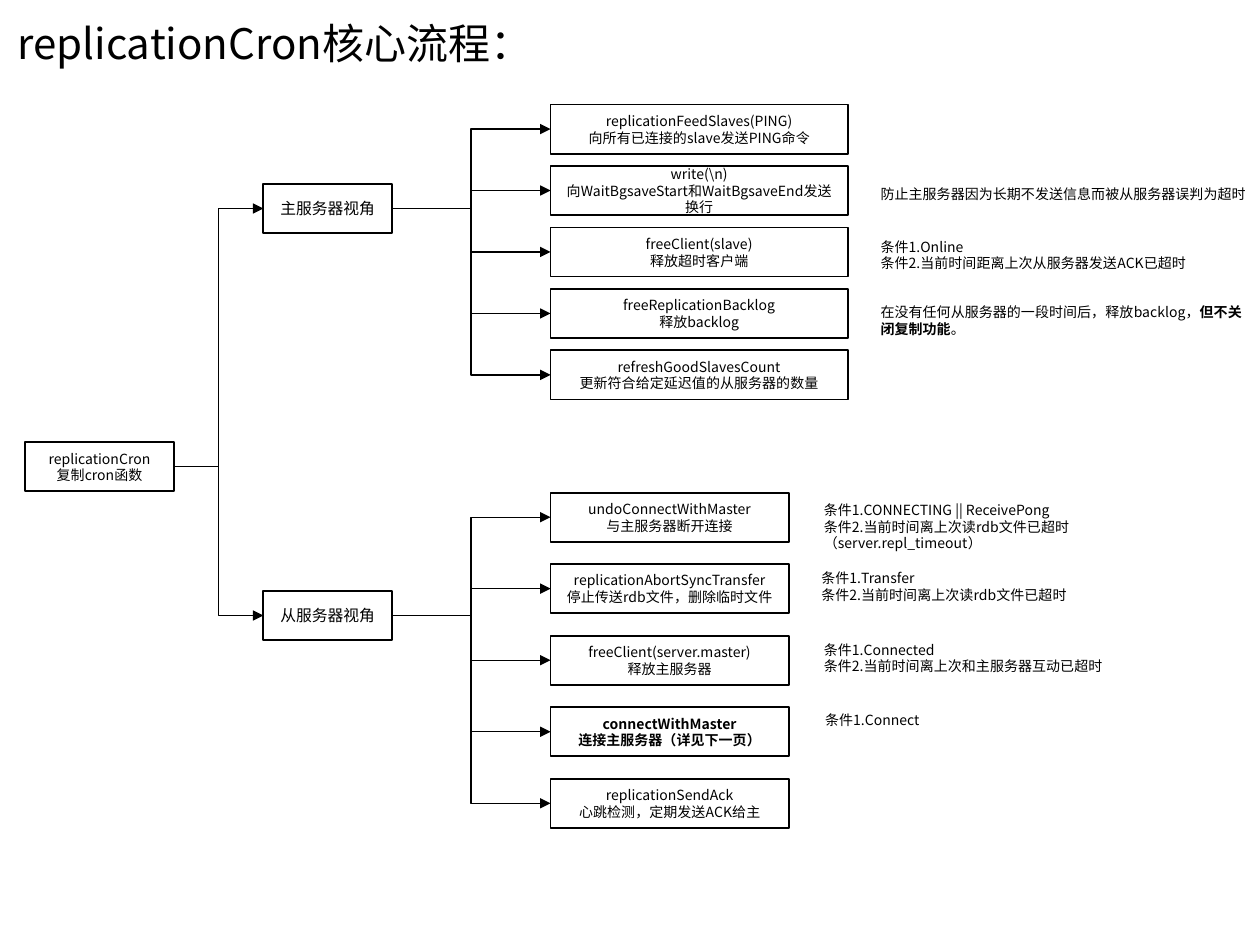
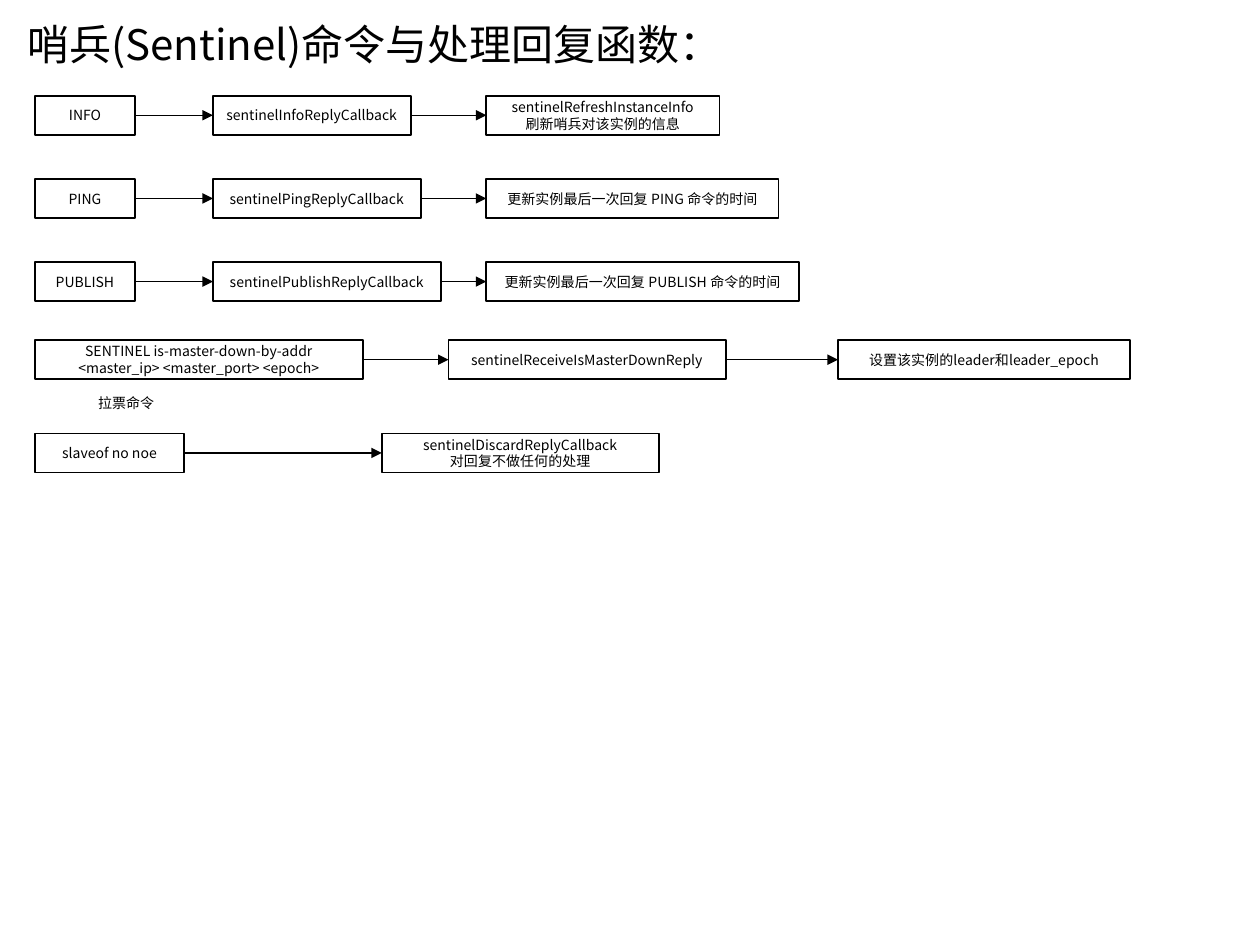
from dataclasses import dataclass

from lxml import etree
from pptx import Presentation
from pptx.dml.color import RGBColor
from pptx.enum import shapes, text
from pptx.oxml import ns
from pptx.util import Inches, Pt


@dataclass(frozen=True)
class Theme:
    font: str = "Noto Sans CJK SC"
    ink: RGBColor = RGBColor(0, 0, 0)
    paper: RGBColor = RGBColor(255, 255, 255)
    title_size: int = 24
    branch_size: int = 9
    body_size: int = 8
    box_line: float = 1
    arrow_line: float = 0.75


THEME = Theme()
TOP, LEFT, BOTTOM, RIGHT = range(4)

# Steps: (lines, condition note); a note is (left, top, width, lines)
MASTER_STEPS = [
    (["replicationFeedSlaves(PING)", "向所有已连接的slave发送PING命令"], None),
    (["write(\\n)", "向WaitBgsaveStart和WaitBgsaveEnd发送换行"],
     (6.89, 1.42, 3.11, ["防止主服务器因为长期不发送信息而被从服务器误判为超时"])),
    (["freeClient(slave)", "释放超时客户端"],
     (6.89, 1.84, 2.91, ["条件1.Online", "条件2.当前时间距离上次从服务器发送ACK已超时"])),
    (["freeReplicationBacklog", "释放backlog"],
     (6.89, 2.36, 3.11, [[("在没有任何从服务器的一段时间后，释放backlog，", False),
                          ("但不关闭复制功能", True), ("。", False)]])),
    (["refreshGoodSlavesCount", "更新符合给定延迟值的从服务器的数量"], None),
]
SLAVE_STEPS = [
    (["undoConnectWithMaster", "与主服务器断开连接"],
     (6.44, 3.93, 2.36, ["条件1.CONNECTING || ReceivePong",
                         "条件2.当前时间离上次读rdb文件已超时（server.repl_timeout）"])),
    (["replicationAbortSyncTransfer", "停止传送rdb文件，删除临时文件"],
     (6.42, 4.47, 2.36, ["条件1.Transfer", "条件2.当前时间离上次读rdb文件已超时"])),
    (["freeClient(server.master)", "释放主服务器"],
     (6.44, 5.04, 2.5, ["条件1.Connected", "条件2.当前时间离上次和主服务器互动已超时"])),
    ([[("connectWithMaster", True)], [("连接主服务器（详见下一页）", True)]],
     (6.45, 5.6, 2.5, ["条件1.Connect"])),
    (["replicationSendAck", "心跳检测，定期发送ACK给主"], None),
]

# Command rows: (top, boxes); a box is (left, width, lines)
COMMAND_ROWS = [
    (0.76, [(0.28, 0.79, ["INFO"]),
            (1.69, 1.57, ["sentinelInfoReplyCallback"]),
            (3.86, 1.85, ["sentinelRefreshInstanceInfo", "刷新哨兵对该实例的信息"])]),
    (1.42, [(0.28, 0.79, ["PING"]),
            (1.69, 1.65, ["sentinelPingReplyCallback"]),
            (3.86, 2.32, ["更新实例最后一次回复 PING 命令的时间"])]),
    (2.08, [(0.28, 0.79, ["PUBLISH"]),
            (1.69, 1.81, ["sentinelPublishReplyCallback"]),
            (3.86, 2.48, ["更新实例最后一次回复 PUBLISH 命令的时间"])]),
    (2.7, [(0.28, 2.6, ["SENTINEL is-master-down-by-addr",
                        "<master_ip> <master_port> <epoch>"]),
           (3.56, 2.2, ["sentinelReceiveIsMasterDownReply"]),
           (6.65, 2.32, ["设置该实例的leader和leader_epoch"])]),
    (3.44, [(0.28, 1.18, ["slaveof no noe"]),
            (3.03, 2.2, ["sentinelDiscardReplyCallback", "对回复不做任何的处理"])]),
]


def write_lines(frame, lines, size, align):
    """Write one paragraph per line; a line is text or a list of (text, bold)."""
    frame.word_wrap = True
    for index, line in enumerate(lines):
        paragraph = frame.paragraphs[0] if index == 0 else frame.add_paragraph()
        paragraph.alignment = align
        paragraph.font.size = Pt(size)
        paragraph.font.color.rgb = THEME.ink
        paragraph.font.name = THEME.font
        latin = paragraph._p.find(".//" + ns.qn("a:latin"))
        latin.addnext(latin.makeelement(ns.qn("a:ea"), {"typeface": THEME.font}))
        for content, bold in [(line, False)] if isinstance(line, str) else line:
            run = paragraph.add_run()
            run.text = content
            if bold:
                run.font.bold = True


def add_label(slide, left, top, width, lines, height=0.24, size=THEME.body_size):
    label = slide.shapes.add_textbox(*map(Inches, (left, top, width, height)))
    write_lines(label.text_frame, lines, size, text.PP_ALIGN.LEFT)
    label.text_frame.auto_size = text.MSO_AUTO_SIZE.SHAPE_TO_FIT_TEXT


def add_title(slide, left, top, width, title):
    add_label(slide, left, top, width, [title], 0.5, THEME.title_size)


def add_box(slide, left, top, width, height, lines, size=THEME.body_size):
    box = slide.shapes.add_shape(shapes.MSO_SHAPE.RECTANGLE,
                                 *map(Inches, (left, top, width, height)))
    box.shadow.inherit = False
    box.fill.solid()
    box.fill.fore_color.rgb = THEME.paper
    box.line.color.rgb = THEME.ink
    box.line.width = Pt(THEME.box_line)
    box.text_frame.vertical_anchor = text.MSO_ANCHOR.MIDDLE
    write_lines(box.text_frame, lines, size, text.PP_ALIGN.CENTER)
    return box


def add_arrow(slide, source, target, kind):
    """Join the right side of source to the left side of target."""
    arrow = slide.shapes.add_connector(kind, 0, 0, 0, 0)
    arrow.begin_connect(source, RIGHT)
    arrow.end_connect(target, LEFT)
    arrow.line.color.rgb = THEME.ink
    arrow.line.width = Pt(THEME.arrow_line)
    etree.SubElement(arrow.line._get_or_add_ln(), ns.qn("a:tailEnd"), type="triangle")
    etree.SubElement(arrow._element.spPr, ns.qn("a:effectLst"))


def add_branch(slide, root, name, top, steps, first_top, last_top, step_width):
    """Add a viewpoint box under root, with evenly spaced steps and their notes."""
    elbow = shapes.MSO_CONNECTOR.ELBOW
    branch = add_box(slide, 2.09, top, 1.02, 0.39, [name], THEME.branch_size)
    add_arrow(slide, root, branch, elbow)
    pitch = (last_top - first_top) / (len(steps) - 1)
    for index, (lines, note) in enumerate(steps):
        step = add_box(slide, 4.37, first_top + index * pitch, step_width, 0.39, lines)
        add_arrow(slide, branch, step, elbow)
        if note:
            add_label(slide, *note)


def build_cron_slide(slide):
    add_title(slide, 0.04, 0.09, 5.28, "replicationCron核心流程：")
    root = add_box(slide, 0.2, 3.51, 1.18, 0.39, ["replicationCron", "复制cron函数"])
    add_branch(slide, root, "主服务器视角", 1.46, MASTER_STEPS, 0.83, 2.78, 2.36)
    add_branch(slide, root, "从服务器视角", 4.69, SLAVE_STEPS, 3.91, 6.18, 1.89)


def build_sentinel_slide(slide):
    add_title(slide, 0.12, 0.1, 8.03, "哨兵(Sentinel)命令与处理回复函数：")
    for top, row in COMMAND_ROWS:
        boxes = [add_box(slide, left, top, width, 0.31, lines)
                 for left, width, lines in row]
        for source, target in zip(boxes, boxes[1:]):
            add_arrow(slide, source, target, shapes.MSO_CONNECTOR.STRAIGHT)
    add_label(slide, 0.68, 3.08, 5.04, ["拉票命令"])


def main():
    presentation = Presentation()
    presentation.slide_width = Inches(10)
    presentation.slide_height = Inches(7.5)
    blank = presentation.slide_layouts[6]
    for build in (build_cron_slide, build_sentinel_slide):
        build(presentation.slides.add_slide(blank))
    presentation.save("out.pptx")


if __name__ == "__main__":
    main()
